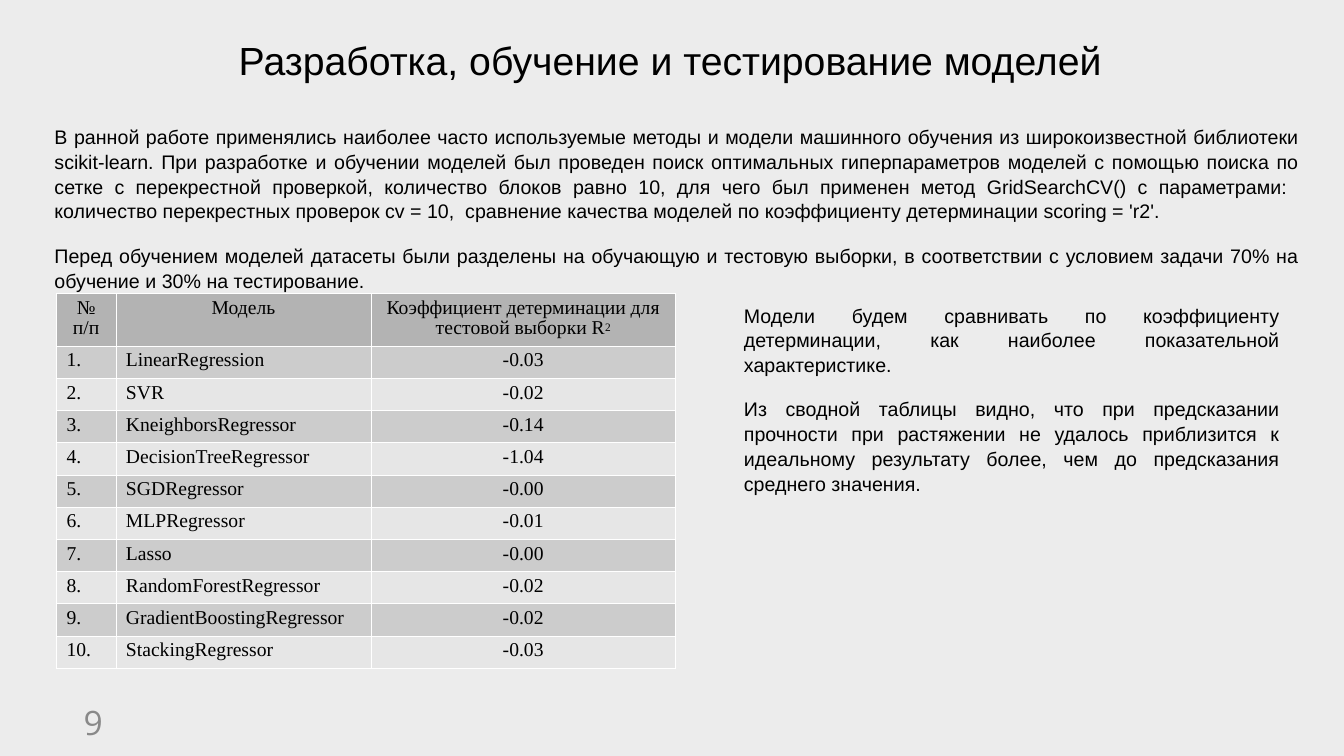
from pptx import Presentation
from pptx.dml.color import RGBColor
from pptx.enum.text import MSO_ANCHOR as ANCHOR, MSO_AUTO_SIZE as AUTO, PP_ALIGN as AL
from pptx.oxml import parse_xml
from pptx.oxml.ns import nsdecls
from pptx.util import Inches, Pt

BODY = {"size": Pt(14), "name": "Arial"}
CELL = {"size": Pt(14), "name": "Times New Roman"}
BODY_PARA = {"alignment": AL.JUSTIFY, "space_before": Pt(14.2), "line_spacing": 1.05}

INTRO = [
    "В ранной работе применялись наиболее часто используемые методы и модели машинного обучения из "
    "широкоизвестной библиотеки scikit-learn. При разработке и обучении моделей был проведен поиск "
    "оптимальных гиперпараметров моделей с помощью поиска по сетке с перекрестной проверкой, количество "
    "блоков равно 10, для чего был применен метод GridSearchCV() с параметрами:  количество перекрестных "
    "проверок cv = 10,  сравнение качества моделей по коэффициенту детерминации scoring = 'r2'.",
    "Перед обучением моделей датасеты были разделены на обучающую и тестовую выборки, в соответствии с "
    "условием задачи 70% на обучение и 30% на тестирование.",
]
CONCLUSION = [
    "Модели будем сравнивать по коэффициенту детерминации, как наиболее показательной характеристике.",
    "Из сводной таблицы видно, что при предсказании прочности при растяжении не удалось приблизится к "
    "идеальному результату более, чем до предсказания среднего значения.",
]
HEADER = ["№ п/п", "Модель", "Коэффициент детерминации для тестовой выборки R"]
SCORES = [
    ("LinearRegression", "-0.03"),
    ("SVR", "-0.02"),
    ("KneighborsRegressor", "-0.14"),
    ("DecisionTreeRegressor", "-1.04"),
    ("SGDRegressor", "-0.00"),
    ("MLPRegressor", "-0.01"),
    ("Lasso", "-0.00"),
    ("RandomForestRegressor", "-0.02"),
    ("GradientBoostingRegressor", "-0.02"),
    ("StackingRegressor", "-0.03"),
]


def paint(target, color):
    target.solid()
    target.fore_color.rgb = RGBColor.from_string(color)


def apply(obj, values):
    for key, value in values.items():
        setattr(obj, key, value)


def add_run(p, text, font, color="000000"):
    r = p.add_run()
    r.text = text
    apply(r.font, font)
    paint(r.font.fill, color)
    return r


def place(sp, left, top, width, height):
    apply(sp, {"left": Inches(left), "top": Inches(top),
               "width": Inches(width), "height": Inches(height)})


def write(sp, texts, font, para, anchor=ANCHOR.TOP, color="000000"):
    tf = sp.text_frame
    apply(tf, {"word_wrap": True, "auto_size": AUTO.NONE, "vertical_anchor": anchor})
    for i, text in enumerate(texts):
        p = tf.add_paragraph() if i else tf.paragraphs[0]
        apply(p, para)
        add_run(p, text, font, color)


def remove_bullets(sp):
    for p in sp.text_frame.paragraphs:
        pPr = p._p.get_or_add_pPr()
        pPr.set("marL", "0")
        pPr.set("indent", "0")
        pPr.append(parse_xml(f"<a:buNone {nsdecls('a')}/>"))


def add_text(slide, box, *args, **kwargs):
    sp = slide.shapes.add_textbox(*map(Inches, box))
    write(sp, *args, **kwargs)


def fill_cell(cell, text, align, color):
    tcPr = cell._tc.get_or_add_tcPr()
    for side in "LRTB":
        tcPr.append(parse_xml(
            f'<a:ln{side} {nsdecls("a")} w="762"><a:solidFill>'
            f'<a:srgbClr val="FFFFFF"/></a:solidFill></a:ln{side}>'))
    paint(cell.fill, color)
    p = cell.text_frame.paragraphs[0]
    apply(p, {"alignment": align, "line_spacing": 0.93})
    add_run(p, text, CELL)
    return p


def add_scores(slide):
    rows = [HEADER] + [(f"{n}.", *score) for n, score in enumerate(SCORES, 1)]
    frame = slide.shapes.add_table(len(rows), len(HEADER), Inches(0.56), Inches(2.91),
                                   Inches(6.14), Inches(3.7))
    table = frame.table
    for column, width in zip(table.columns, (0.59, 2.53, 3.02)):
        column.width = Inches(width)
    for i, row in enumerate(rows):
        table.rows[i].height = Inches(0.32 if i else 0.52)
        color = ("E6E6E6", "CCCCCC")[i % 2] if i else "B3B3B3"
        for j, text in enumerate(row):
            align = AL.LEFT if i and j < 2 else AL.CENTER
            p = fill_cell(table.cell(i, j), text, align, color)
            if i == 0 and j == 2:
                r = add_run(p, "2", CELL)
                r.font._element.set("baseline", "14000")


def main():
    prs = Presentation()
    apply(prs, {"slide_width": Inches(13.33), "slide_height": Inches(7.5)})
    slide = prs.slides.add_slide(prs.slide_layouts[1])
    paint(slide.background.fill, "ECECEC")

    title, body = slide.placeholders
    place(title, 0.44, 0.14, 12.41, 0.9)
    write(title, ["Разработка, обучение и тестирование моделей"],
          {"size": Pt(28), "name": "Arial"}, {"alignment": AL.CENTER}, ANCHOR.MIDDLE)
    place(body, 0.44, 1.18, 12.55, 1.77)
    write(body, INTRO, BODY, BODY_PARA)
    remove_bullets(body)

    add_text(slide, (0.73, 6.96, 0.92, 0.4), ["9"], {"size": Pt(24), "name": "Open Sans"},
             {"alignment": AL.LEFT}, ANCHOR.MIDDLE, color="898989")
    add_scores(slide)
    add_text(slide, (7.28, 2.95, 5.51, 3.74), CONCLUSION, BODY, BODY_PARA)
    prs.save("out.pptx")


if __name__ == "__main__":
    main()
